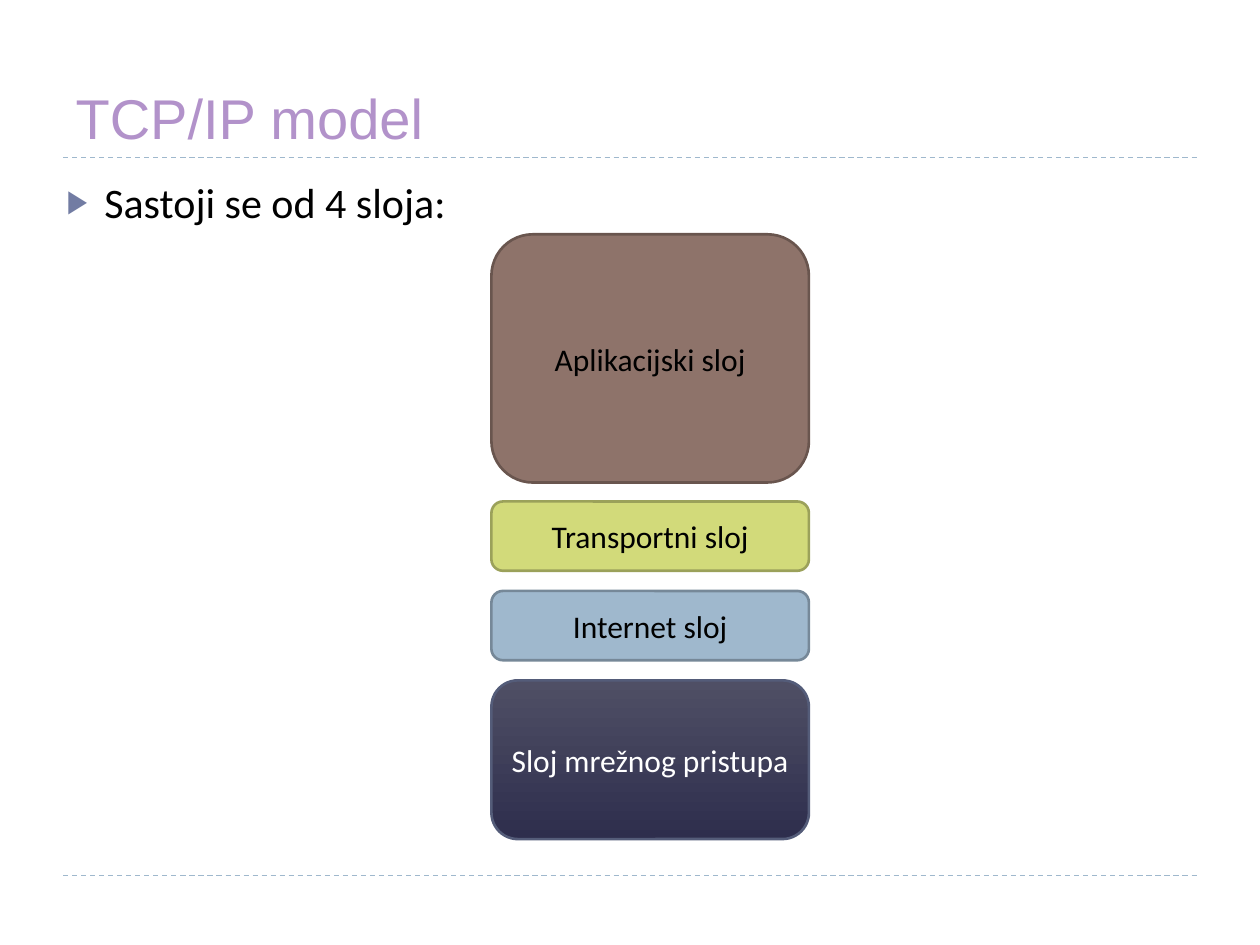
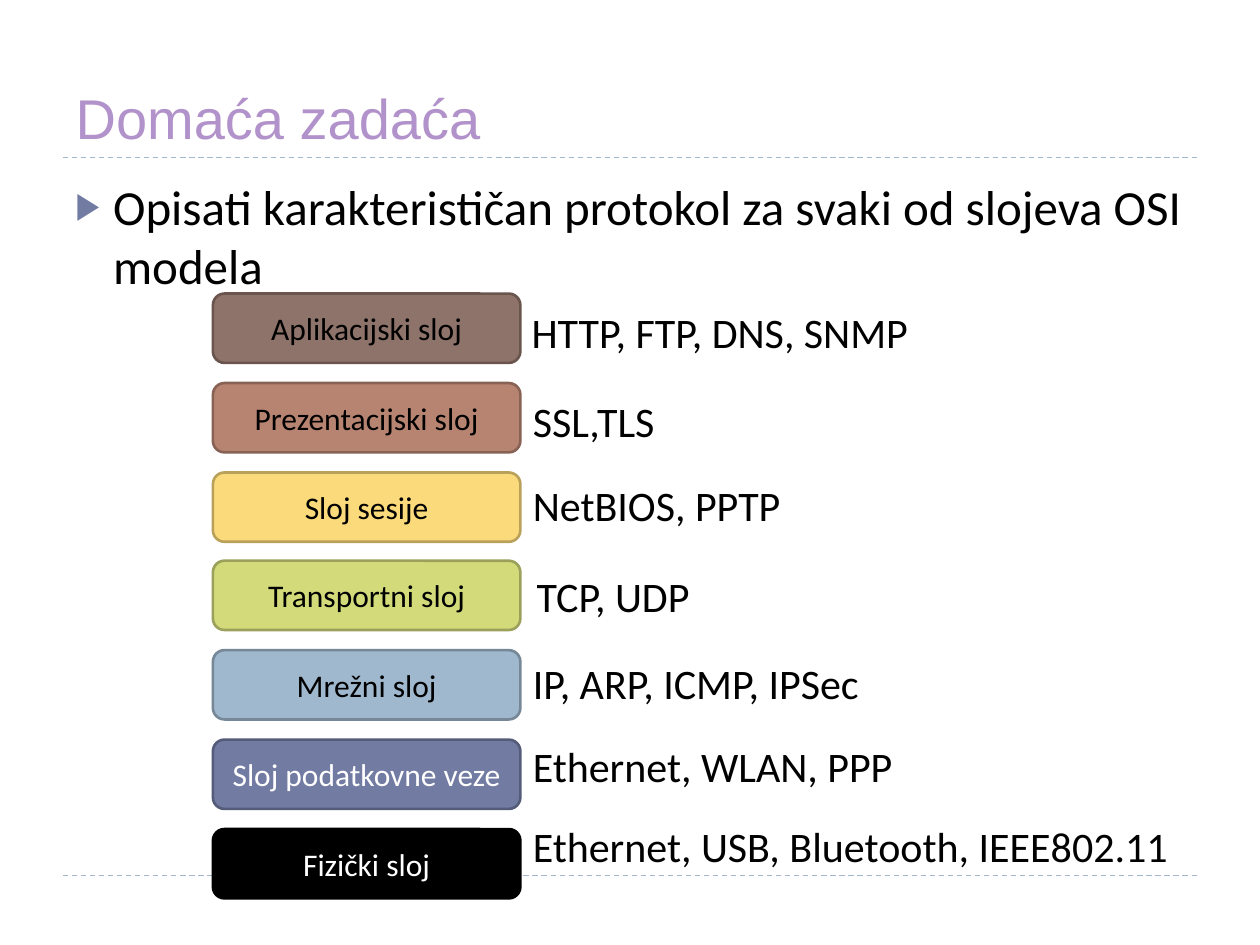
from lxml import etree
from pptx import Presentation
from pptx import util as u
from pptx.dml.color import RGBColor
from pptx.enum import dml, shapes, text
from pptx.oxml import ns

PX = u.Inches(1) // 100

BLACK = RGBColor(0x00, 0x00, 0x00)
WHITE = RGBColor(0xFF, 0xFF, 0xFF)
LILAC = RGBColor(0xB2, 0x92, 0xCA)
BROWN = RGBColor(0x8E, 0x73, 0x6A)
CLAY = RGBColor(0xB8, 0x84, 0x72)
YELLOW = RGBColor(0xFA, 0xDA, 0x7A)
LIME = RGBColor(0xD2, 0xDA, 0x7A)
SKY = RGBColor(0x9F, 0xB8, 0xCD)
INDIGO = RGBColor(0x72, 0x7C, 0xA3)
NIGHT = RGBColor(0x2E, 0x2E, 0x4D)
DUSK = RGBColor(0x4F, 0x4F, 0x65)

ROW_HEIGHT = 55
ROW_PITCH = 70.8
RULE_TOPS = (695, 125)

MODEL_LAYERS = [
    ("Aplikacijski sloj", 3, BROWN, BLACK, None),
    ("Transportni sloj", 1, LIME, BLACK, None),
    ("Internet sloj", 1, SKY, BLACK, None),
    ("Sloj mrežnog pristupa", 2, INDIGO, WHITE, (NIGHT, DUSK)),
]

OSI_LAYERS = [
    ("Aplikacijski sloj", 1, BROWN, BLACK, None),
    ("Prezentacijski sloj", 1, CLAY, BLACK, None),
    ("Sloj sesije", 1, YELLOW, BLACK, None),
    ("Transportni sloj", 1, LIME, BLACK, None),
    ("Mrežni sloj", 1, SKY, BLACK, None),
    ("Sloj podatkovne veze", 1, INDIGO, WHITE, None),
    ("Fizički sloj", 1, BLACK, WHITE, None),
]

PROTOCOLS = [
    (412, 238, "HTTP, FTP, DNS, SNMP"),
    (413, 309, "SSL,TLS"),
    (413, 376, "NetBIOS, PPTP"),
    (416, 448, "TCP, UDP"),
    (413, 517, "IP, ARP, ICMP, IPSec"),
    (413, 583, "Ethernet, WLAN, PPP"),
    (413, 646, "Ethernet, USB, Bluetooth, IEEE802.11"),
]


def darker(color):
    return RGBColor(*(round(channel * 0.74) for channel in color))


class Deck:
    heading_font = "Arial"
    body_font = "Calibri"

    def __init__(self):
        self.prs = Presentation()
        self.prs.slide_width, self.prs.slide_height = self.px(1000, 750)
        self.slide = None

    def px(self, *lengths):
        return [u.Emu(length * PX) for length in lengths]

    def style(self, paragraph, size, color, font=body_font):
        paragraph.font.name = font
        paragraph.font.size = u.Pt(size)
        paragraph.font.color.rgb = color

    def new_slide(self, heading):
        self.slide = self.prs.slides.add_slide(self.prs.slide_layouts[5])
        for top in RULE_TOPS:
            self.rule(top)
        title = self.slide.shapes.title
        title.left, title.top, title.width, title.height = self.px(50, 17, 900, 108)
        title.text_frame.text = heading
        title.text_frame.vertical_anchor = text.MSO_ANCHOR.BOTTOM
        paragraph = title.text_frame.paragraphs[0]
        paragraph.alignment = text.PP_ALIGN.LEFT
        self.style(paragraph, 32, LILAC, self.heading_font)

    def rule(self, top):
        rule = self.slide.shapes.add_connector(
            shapes.MSO_CONNECTOR.STRAIGHT, *self.px(50, top, 950, top))
        rule.line.color.rgb = SKY
        rule.line.width = u.Pt(0.75)
        rule.line.dash_style = dml.MSO_LINE.DASH
        etree.SubElement(rule._element.spPr, ns.qn("a:effectLst"))

    def textbox(self, content, left, top, width, height):
        frame = self.slide.shapes.add_textbox(
            *self.px(left, top, width, height)).text_frame
        frame.word_wrap = True
        frame.text = content
        return frame

    def bullet(self, content, size, left, top, width, height):
        paragraph = self.textbox(content, left, top, width, height).paragraphs[0]
        props = paragraph._p.get_or_add_pPr()
        indent = 30 * PX
        props.set("marL", str(indent))
        props.set("indent", str(-indent))
        color = etree.SubElement(props, ns.qn("a:buClr"))
        etree.SubElement(color, ns.qn("a:srgbClr"), val=str(INDIGO))
        etree.SubElement(props, ns.qn("a:buSzPct"), val="76000")
        etree.SubElement(props, ns.qn("a:buFont"), typeface=self.heading_font)
        etree.SubElement(props, ns.qn("a:buChar"), char="▶")
        self.style(paragraph, size, BLACK)

    def label(self, content, left, top):
        frame = self.textbox(content, left, top, 551, 50)
        frame.auto_size = text.MSO_AUTO_SIZE.SHAPE_TO_FIT_TEXT
        self.style(frame.paragraphs[0], 24, BLACK)

    def layer(self, content, color, ink, gradient, left, top, width, height):
        box = self.slide.shapes.add_shape(
            shapes.MSO_SHAPE.ROUNDED_RECTANGLE, *self.px(left, top, width, height))
        box.shadow.inherit = False
        if gradient:
            box.fill.gradient()
            box.fill.gradient_angle = 90
            for stop, shade in zip(box.fill.gradient_stops, gradient):
                stop.color.rgb = shade
        else:
            box.fill.solid()
            box.fill.fore_color.rgb = color
        box.line.color.rgb = darker(color)
        box.line.width = u.Pt(1.5)
        frame = box.text_frame
        frame.word_wrap = True
        frame.vertical_anchor = text.MSO_ANCHOR.MIDDLE
        frame.text = content
        frame.paragraphs[0].alignment = text.PP_ALIGN.CENTER
        self.style(frame.paragraphs[0], 18, ink)

    def stack(self, layers, left, top, width):
        row = 0
        for content, span, color, ink, gradient in layers:
            height = round(ROW_HEIGHT + (span - 1) * ROW_PITCH)
            self.layer(content, color, ink, gradient,
                       left, round(top + row * ROW_PITCH), width, height)
            row += span


def main():
    deck = Deck()

    deck.new_slide("TCP/IP model")
    deck.bullet("Sastoji se od 4 sloja:", 24, 43, 135, 639, 540)
    deck.stack(MODEL_LAYERS, 390, 186, 252)

    deck.new_slide("Domaća zadaća")
    deck.bullet("Opisati karakterističan protokol za svaki od slojeva OSI modela",
                28, 50, 135, 907, 92)
    deck.stack(OSI_LAYERS, 169, 233, 244)
    for left, top, names in PROTOCOLS:
        deck.label(names, left, top)

    deck.prs.save("out.pptx")


if __name__ == "__main__":
    main()
